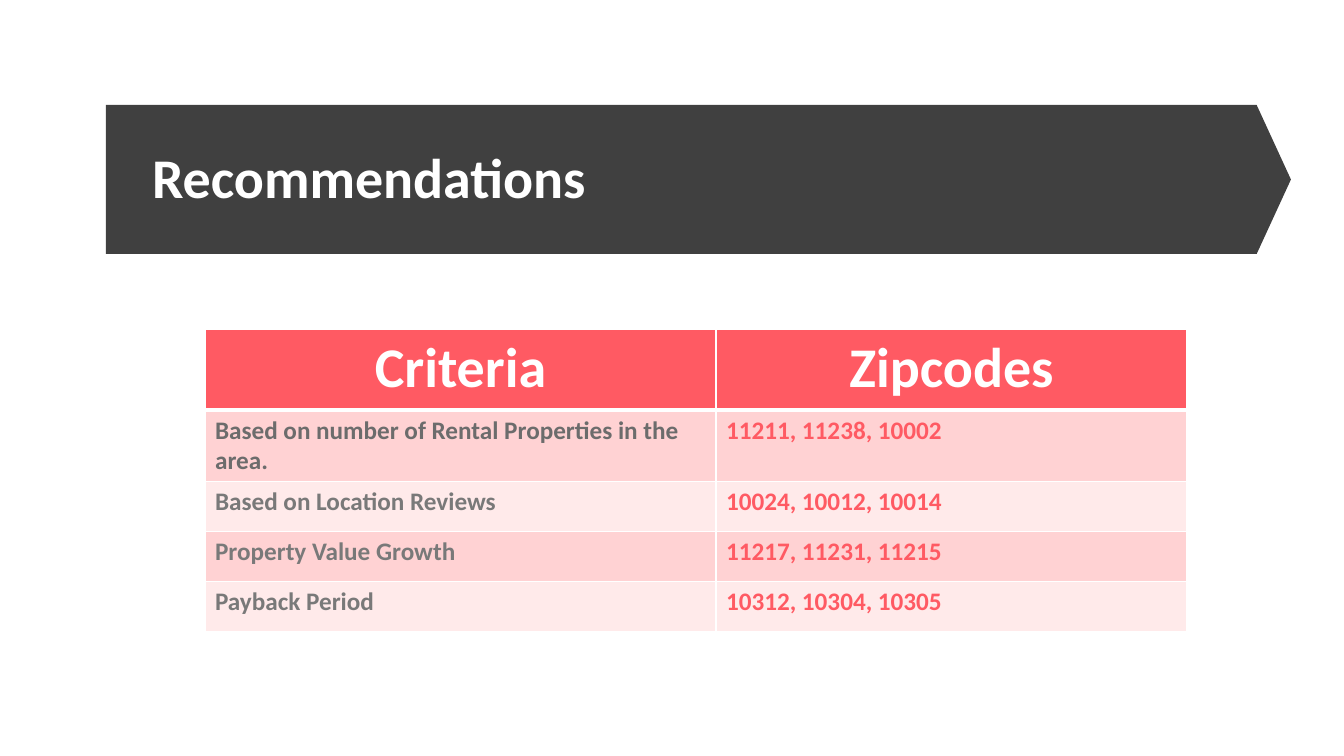
import pptx
import pptx.dml.color
import pptx.enum.shapes
import pptx.enum.text
import pptx.oxml
import pptx.oxml.ns
import pptx.util

PX = 914400 / 100.8
FONT = "Calibri"
COLORS = {
    "white": "FFFFFF",
    "banner": "404040",
    "coral": "FF5A63",
    "band_dark": "FFD2D3",
    "band_light": "FFEAEA",
    "first_criterion": "6C6C6C",
    "criterion": "797979",
}
HEADINGS = ["Criteria", "Zipcodes"]
RECOMMENDATIONS = [
    ("Based on number of Rental Properties in the area.", "11211, 11238, 10002"),
    ("Based on Location Reviews", "10024, 10012, 10014"),
    ("Property Value Growth", "11217, 11231, 11215"),
    ("Payback Period", "10312, 10304, 10305"),
]
COLUMN_WIDTHS = [511, 471]
ROW_HEIGHTS = [81, 58, 50, 50, 50]


def px(length):
    return pptx.util.Emu(round(length * PX))


def rgb(name):
    return pptx.dml.color.RGBColor.from_string(COLORS[name])


def add_text(paragraph, text, size, color):
    run = paragraph.add_run()
    run.text = text
    run.font.name = FONT
    run.font.size = pptx.util.Pt(size)
    run.font.bold = True
    run.font.color.rgb = rgb(color)


def add_banner(slide, left, top, width, height):
    """Draw the title banner: a full-width down arrow turned to point right."""
    arrow = slide.shapes.add_shape(
        pptx.enum.shapes.MSO_SHAPE.DOWN_ARROW,
        px(left + (width - height) / 2), px(top + (height - width) / 2),
        px(height), px(width))
    arrow.rotation = 270
    arrow.adjustments[0] = 1
    arrow.adjustments[1] = 0.23
    arrow.shadow.inherit = False
    arrow.fill.solid()
    arrow.fill.fore_color.rgb = rgb("banner")
    arrow.line.fill.background()
    # Behind the title placeholder
    slide.shapes._spTree.insert(2, arrow._element)

    title = slide.shapes.title
    title.left, title.top = px(left + 36), px(top + 28)
    title.width, title.height = px(width - 80), px(height - 54)
    title.text_frame.vertical_anchor = pptx.enum.text.MSO_ANCHOR.MIDDLE
    heading = title.text_frame.paragraphs[0]
    heading.alignment = pptx.enum.text.PP_ALIGN.LEFT
    heading.line_spacing = 0.9
    add_text(heading, "Recommendations", 40, "white")


def format_cell(cell, fill, top=1, bottom=1):
    """Fill the cell and rule it in white; top and bottom are in points."""
    cell.fill.solid()
    cell.fill.fore_color.rgb = rgb(fill)
    properties = cell._tc.get_or_add_tcPr()
    edges = [("lnL", 1), ("lnR", 1), ("lnT", top), ("lnB", bottom)]
    for position, (edge, points) in enumerate(edges):
        properties.insert(position, pptx.oxml.parse_xml(
            f'<a:{edge} {pptx.oxml.ns.nsdecls("a")} w="{pptx.util.Pt(points)}">'
            f'<a:solidFill><a:srgbClr val="{COLORS["white"]}"/></a:solidFill>'
            f'</a:{edge}>'))


def add_recommendations(slide, left, top):
    table = slide.shapes.add_table(
        len(ROW_HEIGHTS), len(COLUMN_WIDTHS), px(left), px(top),
        px(sum(COLUMN_WIDTHS)), px(sum(ROW_HEIGHTS))).table
    for column, width in zip(table.columns, COLUMN_WIDTHS):
        column.width = px(width)
    for row, height in zip(table.rows, ROW_HEIGHTS):
        row.height = px(height)

    for column, heading in enumerate(HEADINGS):
        cell = table.cell(0, column)
        format_cell(cell, "coral", bottom=3)
        paragraph = cell.text_frame.paragraphs[0]
        paragraph.alignment = pptx.enum.text.PP_ALIGN.CENTER
        add_text(paragraph, heading, 40, "white")

    for row, entries in enumerate(RECOMMENDATIONS, start=1):
        fill = "band_dark" if row % 2 else "band_light"
        colors = ["first_criterion" if row == 1 else "criterion", "coral"]
        for column, (entry, color) in enumerate(zip(entries, colors)):
            cell = table.cell(row, column)
            format_cell(cell, fill, top=3 if row == 1 else 1)
            add_text(cell.text_frame.paragraphs[0], entry, 18, color)


def main():
    deck = pptx.Presentation()
    deck.slide_width, deck.slide_height = px(1344), px(756)
    slide = deck.slides.add_slide(deck.slide_layouts.get_by_name("Title Only"))
    slide.background.fill.solid()
    slide.background.fill.fore_color.rgb = rgb("white")
    add_banner(slide, 106, 105, 1185, 149)
    add_recommendations(slide, 205, 329)
    deck.save("out.pptx")


if __name__ == "__main__":
    main()
